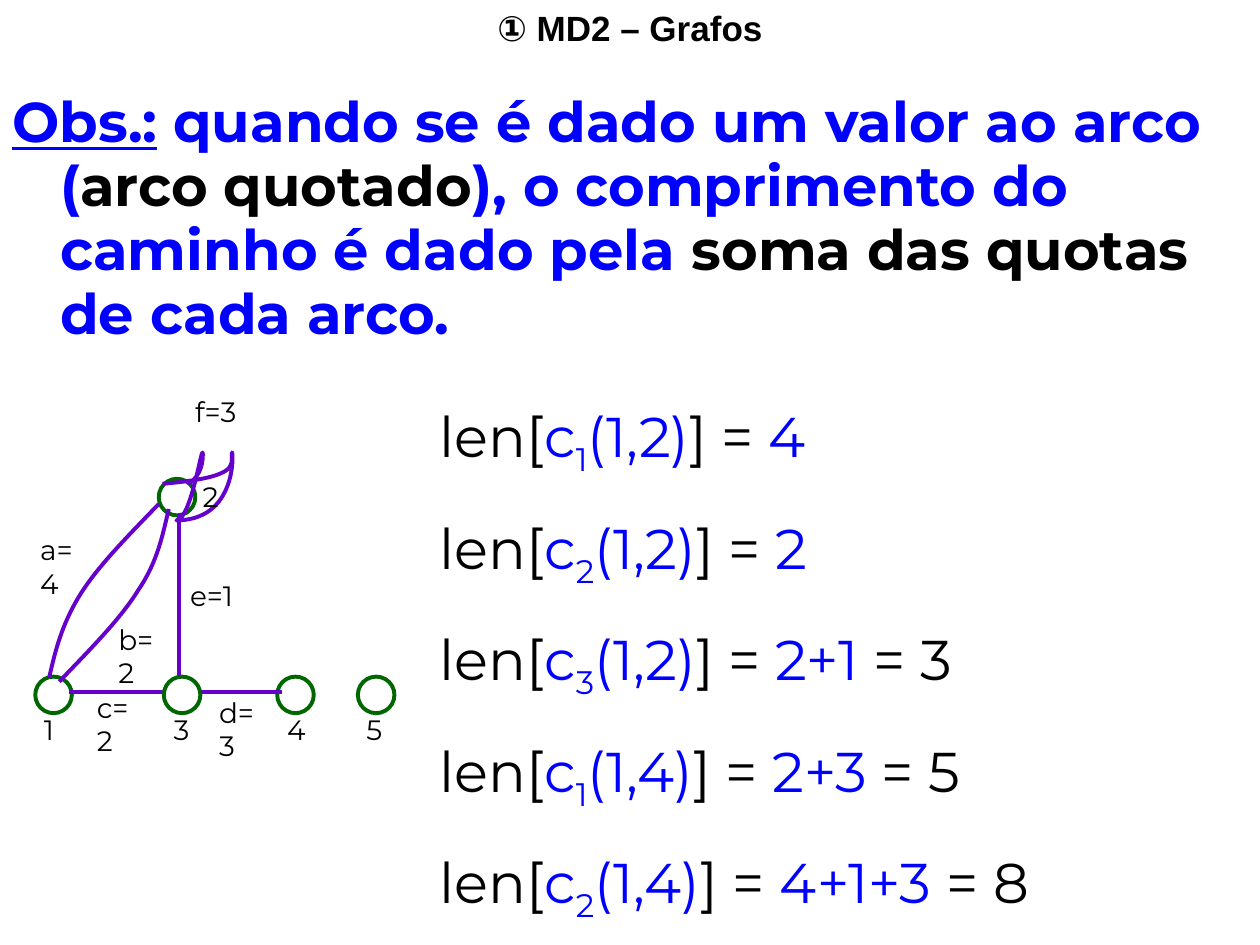
"""Build a slide on path lengths in a graph with weighted arcs."""
from lxml import etree
from pptx import Presentation
from pptx.dml.color import RGBColor
from pptx.enum.shapes import MSO_CONNECTOR as Connector, MSO_SHAPE as Shape
from pptx.enum.text import MSO_ANCHOR as Anchor, MSO_AUTO_SIZE as AutoSize, PP_ALIGN as Align
from pptx.oxml.ns import qn
from pptx.util import Inches, Pt

THEME = {
    "black": "000000", "blue": "0000FF", "white": "FFFFFF", "node": "006600", "arc": "6600CC",
    "title": 20, "body": 32, "label": 16, "line": 2.25,
    "title_font": "Arial", "font": "Montserrat",
}

TITLE = "① MD2 – Grafos"
NOTE = [
    ("Obs.:", {"color": "blue", "underline": True}),
    (" quando se é dado um valor ao arco (", {"color": "blue"}),
    ("arco quotado", {}),
    ("), o comprimento do caminho é dado pela ", {"color": "blue"}),
    ("soma das quotas", {}),
    (" de cada arco.", {"color": "blue"}),
]
LENGTHS = [
    ("1", "(1,2)", "4", ""),
    ("2", "(1,2)", "2", ""),
    ("3", "(1,2)", "2+1", " = 3"),
    ("1", "(1,4)", "2+3", " = 5"),
    ("2", "(1,4)", "4+1+3", " = 8"),
]
OUTER_NODES = [(0.28, 5.37), (2.2, 5.37), (2.84, 5.37), (1.26, 3.8)]
MIDDLE_NODE = (1.3, 5.37)
STRAIGHT_ARCS = [
    ((0.55, 5.49), (1.3, 5.49)),
    ((1.42, 4.08), (1.42, 5.41)),
    ((2.24, 5.49), (1.57, 5.49)),
]
CURVED_ARCS = [
    [(1.29, 3.84), (1.88, 3.79), (1.84, 3.7), (1.84, 3.61), (1.84, 3.47), (1.93, 4.13), (1.4, 4.13),
     (1.52, 4.13), (1.61, 3.47), (1.61, 3.61), (1.61, 3.71), (1.57, 3.8), (1.49, 3.84)],
    [(0.39, 5.38), (0.44, 5.16), (0.49, 4.96), (0.63, 4.73), (0.77, 4.5), (1.02, 4.25), (1.26, 4)],
    [(1.34, 4.04), (1.29, 4.25), (1.25, 4.46), (1.1, 4.68), (0.96, 4.91), (0.71, 5.16), (0.47, 5.41)],
]
LABELS = [
    ("1", 0.25, 5.61, 0.32), ("2", 1.51, 3.76, 0.32), ("3", 1.28, 5.61, 0.32),
    ("4", 2.18, 5.61, 0.32), ("5", 2.81, 5.61, 0.32),
    ("a=4", 0.22, 4.18, 0.58), ("b=2", 0.84, 4.89, 0.59), ("c=2", 0.67, 5.43, 0.56),
    ("d=3", 1.64, 5.47, 0.59), ("e=1", 1.41, 4.54, 0.58), ("f=3", 1.45, 3.08, 0.55),
]


def rgb(name):
    return RGBColor.from_string(THEME[name])


def add_run(p, text, size="body", font="font", color="black", bold=False, underline=False, sub=False):
    r = p.add_run()
    r.text = text
    f = r.font
    f.size, f.name, f.bold, f.underline = Pt(THEME[size]), THEME[font], bold, underline
    f.color.rgb = rgb(color)
    if sub:
        r._r.get_or_add_rPr().set("baseline", "-25000")


def place(sp, left, top, width, height):
    sp.left, sp.top, sp.width, sp.height = (Inches(v) for v in (left, top, width, height))
    tf = sp.text_frame
    tf.word_wrap, tf.auto_size, tf.vertical_anchor = True, AutoSize.NONE, Anchor.TOP
    return tf


def add_text(s, *box):
    return place(s.shapes.add_textbox(0, 0, 0, 0), *box)


def style_line(sp, color):
    sp.line.color.rgb = rgb(color)
    sp.line.width = Pt(THEME["line"])


def add_node(s, left, top, size=0.29):
    sp = s.shapes.add_shape(Shape.FLOWCHART_CONNECTOR, *(Inches(v) for v in (left, top, size, size)))
    sp.shadow.inherit = False
    sp.fill.solid()
    sp.fill.fore_color.rgb = rgb("white")
    style_line(sp, "node")


def add_straight(s, start, end):
    sp = s.shapes.add_connector(Connector.STRAIGHT, *(Inches(v) for v in start + end))
    style_line(sp, "arc")
    etree.SubElement(sp._element.spPr, qn("a:effectLst"))


def add_curve(s, points):
    start, *rest = [tuple(Inches(v) for v in point) for point in points]
    builder = s.shapes.build_freeform(*start)
    builder.add_line_segments(rest, close=False)
    sp = builder.convert_to_shape()
    sp.shadow.inherit = False
    sp.fill.background()
    style_line(sp, "arc")
    outline = next(sp._element.iter(qn("a:path")))
    segments = outline.findall(qn("a:lnTo"))
    for i in range(0, len(segments), 3):
        curve = etree.SubElement(outline, qn("a:cubicBezTo"))
        for segment in segments[i:i + 3]:
            curve.append(segment[0])
            outline.remove(segment)


def main():
    prs = Presentation()
    prs.slide_width, prs.slide_height = Inches(10), Inches(7.5)
    s = prs.slides.add_slide(prs.slide_layouts[5])

    p = place(s.shapes.title, 0, 0, 10, 0.44).paragraphs[0]
    p.alignment = Align.CENTER
    add_run(p, TITLE, size="title", font="title_font", bold=True)

    p = add_text(s, 0, 0.68, 10, 2.13).paragraphs[0]
    p.line_spacing = 0.95
    pPr = p._p.get_or_add_pPr()
    pPr.set("marL", str(Inches(0.38)))
    pPr.set("indent", str(Inches(-0.38)))
    for text, style in NOTE:
        add_run(p, text, bold=True, **style)

    for node in OUTER_NODES:
        add_node(s, *node)
    for arc in STRAIGHT_ARCS:
        add_straight(s, *arc)
    add_node(s, *MIDDLE_NODE)
    for points in CURVED_ARCS:
        add_curve(s, points)
    for text, left, top, width in LABELS:
        add_run(add_text(s, left, top, width, 0.37).paragraphs[0], text, size="label")

    tf = add_text(s, 3.39, 3.14, 6.61, 4.25)
    for i, (index, ends, value, total) in enumerate(LENGTHS):
        p = tf.add_paragraph() if i else tf.paragraphs[0]
        if i:
            p.space_before = Pt(20)
        add_run(p, "len[")
        add_run(p, "c", color="blue")
        add_run(p, index, color="blue", sub=True)
        add_run(p, ends, color="blue")
        add_run(p, "] = ")
        add_run(p, value, color="blue")
        if total:
            add_run(p, total)

    prs.save("out.pptx")


if __name__ == "__main__":
    main()
